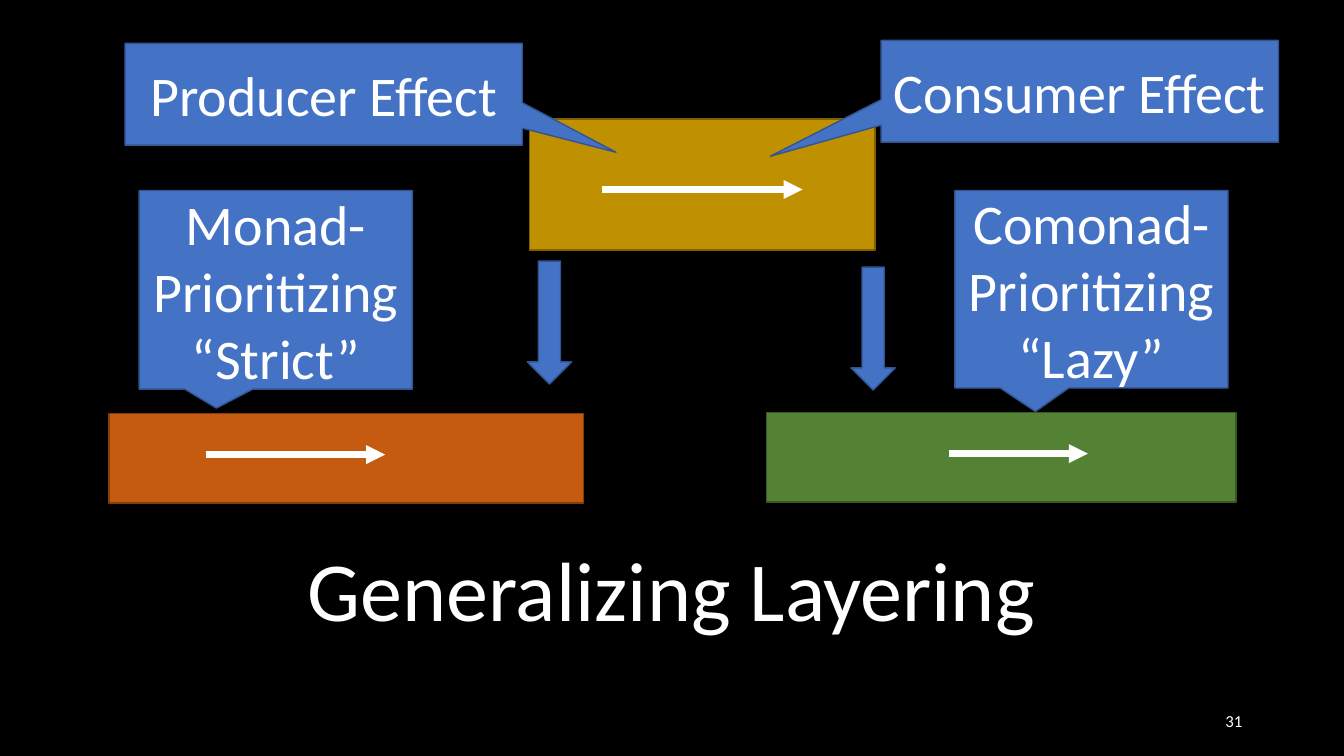
from lxml import etree
from pptx import Presentation
from pptx.dml.color import RGBColor
from pptx.enum.shapes import MSO_CONNECTOR, MSO_SHAPE
from pptx.enum.text import MSO_ANCHOR, MSO_AUTO_SIZE, PP_ALIGN
from pptx.oxml.ns import qn
from pptx.util import Inches, Pt

RECTANGLE = MSO_SHAPE.RECTANGLE
CALLOUT = MSO_SHAPE.RECTANGULAR_CALLOUT
DOWN_ARROW = MSO_SHAPE.DOWN_ARROW
STRAIGHT = MSO_CONNECTOR.STRAIGHT
TOP, MIDDLE = MSO_ANCHOR.TOP, MSO_ANCHOR.MIDDLE
CENTER, RIGHT = PP_ALIGN.CENTER, PP_ALIGN.RIGHT

FONT = "Calibri"
TITLE_ONLY = 5
COLORS = {
    "background": "000000", "white": "FFFFFF",
    "blue": "4472C4", "blue_edge": "325491",
    "gold": "BF9000", "gold_edge": "806000",
    "orange": "C55A11", "orange_edge": "843C0B",
    "green": "548235", "green_edge": "385723",
}


def color(name):
    return RGBColor.from_string(COLORS[name])


def write(text_frame, lines, size, alignment, anchor=MIDDLE):
    """Fill a text frame with one white paragraph per line."""
    text_frame.vertical_anchor = anchor
    for index, line in enumerate(lines):
        paragraph = text_frame.add_paragraph() if index else text_frame.paragraphs[0]
        paragraph.alignment = alignment
        run = paragraph.add_run()
        run.text = line
        run.font.name = FONT
        run.font.size = Pt(size)
        run.font.color.rgb = color("white")


def add_block(slide, kind, box, fill):
    shape = slide.shapes.add_shape(kind, *map(Inches, box))
    shape.shadow.inherit = False
    shape.fill.solid()
    shape.fill.fore_color.rgb = color(fill)
    shape.line.color.rgb = color(fill + "_edge")
    shape.line.width = Pt(1)
    return shape


def add_layer(slide, box, fill, arrow_start, arrow_length, arrow_drop):
    """A coloured bar with a white arrow, offset from the bar's corner."""
    add_block(slide, RECTANGLE, box, fill)
    left, top = box[0] + arrow_start, box[1] + arrow_drop
    arrow = slide.shapes.add_connector(
        STRAIGHT, Inches(left), Inches(top), Inches(left + arrow_length), Inches(top))
    arrow.line.color.rgb = color("white")
    arrow.line.width = Pt(4.5)
    etree.SubElement(arrow.line._get_or_add_ln(), qn("a:tailEnd"), type="triangle")
    etree.SubElement(arrow._element.spPr, qn("a:effectLst"))


def add_callout(slide, box, pointer, lines):
    """A blue callout; pointer is the tip's offset as a share of the box."""
    callout = add_block(slide, CALLOUT, box, "blue")
    for index, value in enumerate(pointer):
        callout.adjustments[index] = value
    callout.text_frame.word_wrap = True
    write(callout.text_frame, lines, 40, CENTER)


def add_title(slide, box, text):
    title = slide.shapes.title
    title.left, title.top, title.width, title.height = map(Inches, box)
    frame = title.text_frame
    frame.margin_left = frame.margin_right = 0
    frame.margin_top = frame.margin_bottom = 0
    frame.word_wrap = False
    frame.auto_size = MSO_AUTO_SIZE.NONE
    write(frame, [text], 60, CENTER, TOP)


def add_slide_number(slide, box, number):
    text_box = slide.shapes.add_textbox(*map(Inches, box))
    text_box.text_frame.word_wrap = True
    write(text_box.text_frame, [number], 12, RIGHT)


def build_layering_slide(presentation):
    slide = presentation.slides.add_slide(presentation.slide_layouts[TITLE_ONLY])
    slide.background.fill.solid()
    slide.background.fill.fore_color.rgb = color("background")

    # Layers: the source program above its two translations
    add_layer(slide, (5.25, 1.18, 3.43, 1.3), "gold", 0.72, 1.99, 0.7)
    add_layer(slide, (7.6, 4.09, 4.66, 0.89), "green", 1.81, 1.38, 0.41)
    add_layer(slide, (1.08, 4.1, 4.71, 0.89), "orange", 0.96, 1.78, 0.41)

    # Translation arrows
    for left, top in ((5.23, 2.59), (8.44, 2.65)):
        add_block(slide, DOWN_ARROW, (left, top, 0.44, 1.22), "blue")

    # Callouts for effects and priorities
    add_callout(slide, (1.24, 0.43, 3.94, 1.01), (0.736, 0.57), ["Producer Effect"])
    add_callout(slide, (8.74, 0.4, 3.94, 1.01), (-0.779, 0.639), ["Consumer Effect"])
    add_callout(slide, (9.47, 1.89, 2.71, 1.96), (-0.205, 0.619),
                ["Comonad-Prioritizing", "“Lazy”"])
    add_callout(slide, (1.38, 1.89, 2.71, 1.97), (-0.217, 0.596),
                ["Monad-Prioritizing", "“Strict”"])

    # Title and slide number
    add_title(slide, (3.02, 5.33, 7.28, 1.01), "Generalizing Layering")
    add_slide_number(slide, (9.42, 6.95, 3, 0.4), "31")


def main():
    presentation = Presentation()
    presentation.slide_width = Inches(13.33)
    presentation.slide_height = Inches(7.5)
    build_layering_slide(presentation)
    presentation.save("out.pptx")


if __name__ == "__main__":
    main()
